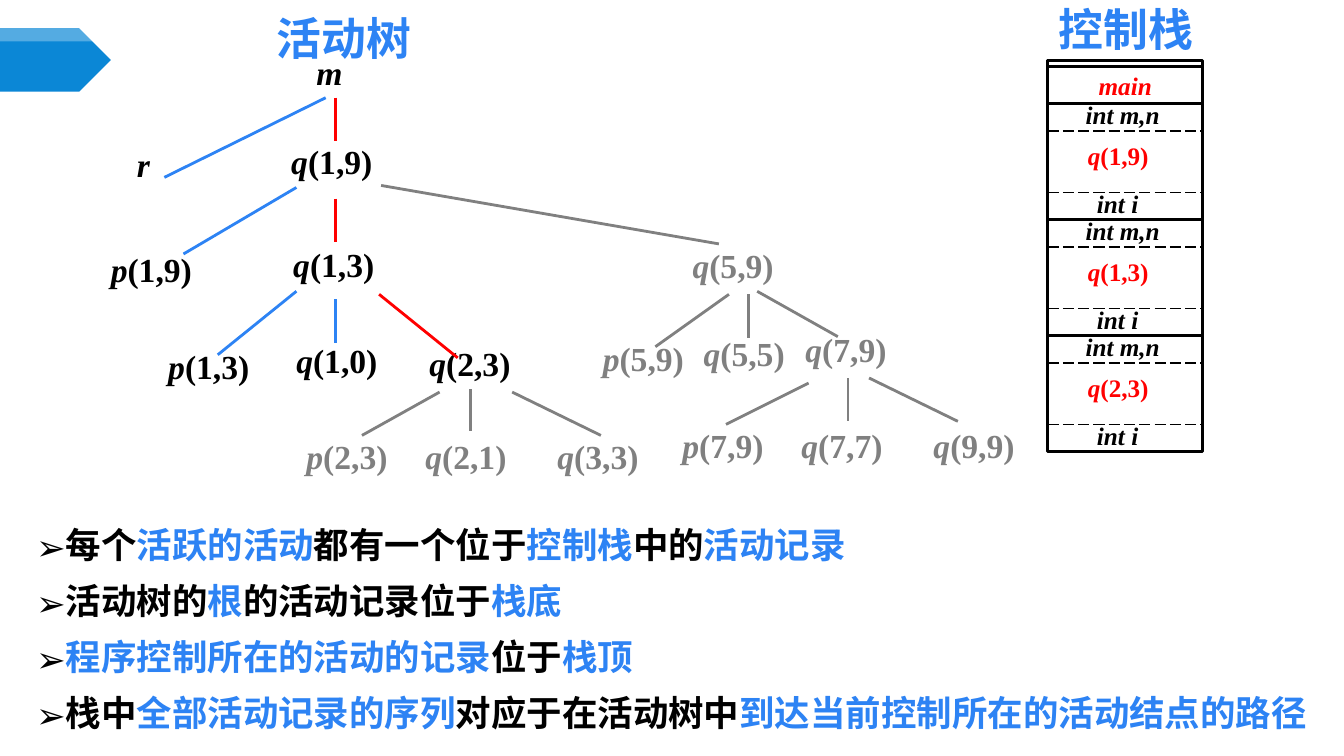
from lxml import etree
from pptx import Presentation
from pptx.dml.color import RGBColor
from pptx.enum.dml import MSO_LINE
from pptx.enum.shapes import MSO_CONNECTOR, MSO_SHAPE
from pptx.enum.text import MSO_ANCHOR, PP_ALIGN
from pptx.oxml.ns import qn
from pptx.util import Emu, Pt

PX = 9144  # 100 px to the inch
STRAIGHT = MSO_CONNECTOR.STRAIGHT
RECT, PENTAGON = MSO_SHAPE.RECTANGLE, MSO_SHAPE.PENTAGON
LEFT, CENTER, JUSTIFY = PP_ALIGN.LEFT, PP_ALIGN.CENTER, PP_ALIGN.JUSTIFY
MIDDLE = MSO_ANCHOR.MIDDLE
LONG_DASH = MSO_LINE.LONG_DASH
SERIF, CJK = "Times New Roman", "Noto Sans CJK SC"
COLORS = {"black": "000000", "blue": "2D83F4", "red": "FF0000",
          "gray": "808080", "banner": "0B87D6", "white": "FFFFFF"}

# Activation tree: procedure, arguments, left, top
LIVE_NODES = [
    ("m", "", 304, 47), ("r", "", 126, 138), ("q", "(1,9)", 279, 135),
    ("p", "(1,9)", 100, 242), ("q", "(1,3)", 281, 237),
    ("p", "(1,3)", 157, 338), ("q", "(1,0)", 284, 332), ("q", "(2,3)", 416, 335),
]
FUTURE_NODES = [
    ("p", "(2,3)", 294, 428), ("q", "(2,1)", 412, 428), ("q", "(3,3)", 543, 428),
    ("q", "(5,9)", 677, 238), ("p", "(5,9)", 588, 330), ("q", "(5,5)", 688, 325),
    ("q", "(7,9)", 789, 321), ("p", "(7,9)", 667, 417), ("q", "(7,7)", 785, 417),
    ("q", "(9,9)", 916, 417),
]
EDGES = {
    "red": [(333, 97, 333, 140), (333, 197, 333, 240), (376, 292, 454, 355)],
    "blue": [(323, 97, 163, 176), (294, 186, 182, 252), (294, 289, 216, 352),
             (333, 297, 333, 340)],
    "gray": [(467, 386, 467, 428), (436, 389, 359, 432), (508, 389, 596, 432),
             (378, 184, 713, 242), (723, 292, 650, 344), (742, 292, 742, 335),
             (751, 289, 831, 334), (802, 380, 720, 421), (841, 375, 841, 418),
             (862, 375, 950, 418)],
}

# Control stack
STACK_LEFT, STACK_WIDTH = 1039, 154
FIRST_FRAME_TOP, FRAME_HEIGHT = 103, 115
FRAME_CALLS = ["(1,9)", "(1,3)", "(2,3)"]

# Statements: text pieces with their colours
STATEMENTS = [
    [("每个", "black"), ("活跃的活动", "blue"), ("都有一个位于", "black"),
     ("控制栈", "blue"), ("中的", "black"), ("活动记录", "blue")],
    [("活动树的", "black"), ("根", "blue"), ("的活动记录位于", "black"),
     ("栈底", "blue")],
    [("程序控制所在的活动的记录", "blue"), ("位于", "black"), ("栈顶", "blue")],
    [("栈中", "black"), ("全部活动记录的序列", "blue"),
     ("对应于在活动树中", "black"), ("到达当前控制所在的活动结点的路径", "blue")],
]


def px(*lengths):
    return [Emu(length * PX) for length in lengths]


def rgb(color):
    return RGBColor.from_string(COLORS[color])


def add_run(paragraph, text, size, color, font=SERIF, italic=False):
    run = paragraph.add_run()
    run.text = text
    run.font.size = Pt(size)
    run.font.bold = True
    run.font.italic = italic
    run.font.name = font
    run.font.color.rgb = rgb(color)
    east_asian = etree.SubElement(run.font._element, qn("a:ea"))
    east_asian.set("typeface", font)


def add_textbox(slide, box, align, wrap=True):
    frame = slide.shapes.add_textbox(*px(*box)).text_frame
    frame.word_wrap = wrap
    frame.paragraphs[0].alignment = align
    return frame


def add_title(slide, text, box):
    frame = add_textbox(slide, box, CENTER)
    add_run(frame.paragraphs[0], text, 32, "blue", CJK)


def add_call(slide, procedure, arguments, box, size, color, align, wrap=True):
    paragraph = add_textbox(slide, box, align, wrap).paragraphs[0]
    add_run(paragraph, procedure, size, color, italic=True)
    if arguments:
        add_run(paragraph, arguments, size, color)


def add_line(slide, ends, color, width=2, dash=None):
    line = slide.shapes.add_connector(STRAIGHT, *px(*ends))
    line.line.color.rgb = rgb(color)
    line.line.width = Pt(width)
    if dash is not None:
        line.line.dash_style = dash
    etree.SubElement(line._element.spPr, qn("a:effectLst"))


def add_stack_cell(slide, top, height):
    cell = slide.shapes.add_shape(RECT, *px(STACK_LEFT, top, STACK_WIDTH, height))
    cell.shadow.inherit = False
    cell.fill.background()
    cell.line.color.rgb = rgb("black")
    cell.line.width = Pt(2)
    return cell


def add_record(slide, top, arguments):
    add_stack_cell(slide, top, FRAME_HEIGHT)
    right = STACK_LEFT + STACK_WIDTH
    for offset in (27, 88):
        add_line(slide, (STACK_LEFT, top + offset, right, top + offset),
                 "black", 1, LONG_DASH)
    add_call(slide, "int m,n", "", (1066, top - 9, 95, 40), 18, "black", CENTER, False)
    add_call(slide, "q", arguments, (1069, top + 31, 81, 40), 18, "red", LEFT, False)
    add_call(slide, "int i", "", (1077, top + 79, 63, 40), 18, "black", CENTER, False)


def add_banner(slide):
    banner = slide.shapes.add_shape(PENTAGON, *px(0, 28, 110, 63))
    builder = slide.shapes.build_freeform(0, 28, scale=PX)
    builder.add_line_segments([(79, 28), (92, 41), (0, 41)], close=True)
    highlight = builder.convert_to_shape()
    for part, color in ((banner, "banner"), (highlight, "white")):
        part.shadow.inherit = False
        part.fill.solid()
        part.fill.fore_color.rgb = rgb(color)
        part.line.fill.background()
    tint = highlight._element.spPr.find(".//" + qn("a:srgbClr"))
    etree.SubElement(tint, qn("a:alpha")).set("val", "30000")


def add_bullet(paragraph):
    properties = paragraph._p.get_or_add_pPr()
    properties.set("marL", str(29 * PX))
    properties.set("indent", str(-29 * PX))
    bullet_color = etree.SubElement(properties, qn("a:buClr"))
    etree.SubElement(bullet_color, qn("a:srgbClr")).set("val", COLORS["black"])
    etree.SubElement(properties, qn("a:buFont")).set("typeface", CJK)
    etree.SubElement(properties, qn("a:buChar")).set("char", "➢")


def add_statements(slide):
    frame = add_textbox(slide, (26, 501, 1291, 226), JUSTIFY)
    for index, pieces in enumerate(STATEMENTS):
        paragraph = frame.add_paragraph() if index else frame.paragraphs[0]
        paragraph.alignment = JUSTIFY
        paragraph.line_spacing = Pt(40)
        add_bullet(paragraph)
        for text, color in pieces:
            add_run(paragraph, text, 25.3, color, CJK)


def main():
    deck = Presentation()
    deck.slide_width, deck.slide_height = px(1333, 750)
    slide = deck.slides.add_slide(deck.slide_layouts[6])

    add_banner(slide)
    add_title(slide, "活动树", (188, 6, 307, 64))
    add_title(slide, "控制栈", (1013, -3, 208, 64))

    # Activation tree
    for nodes, color in ((LIVE_NODES, "black"), (FUTURE_NODES, "gray")):
        for procedure, arguments, left, top in nodes:
            size = (125, 76) if arguments else (64, 66)
            add_call(slide, procedure, arguments, (left, top, *size), 24, color, JUSTIFY)
    for color, edges in EDGES.items():
        for ends in edges:
            add_line(slide, ends, color)

    # Control stack
    add_stack_cell(slide, 60, 6)
    main_frame = add_stack_cell(slide, 66, 37).text_frame
    main_frame.vertical_anchor = MIDDLE
    main_frame.paragraphs[0].alignment = CENTER
    add_run(main_frame.paragraphs[0], "main", 18, "red", italic=True)
    for index, arguments in enumerate(FRAME_CALLS):
        add_record(slide, FIRST_FRAME_TOP + index * FRAME_HEIGHT, arguments)

    add_statements(slide)
    deck.save("out.pptx")


if __name__ == "__main__":
    main()
